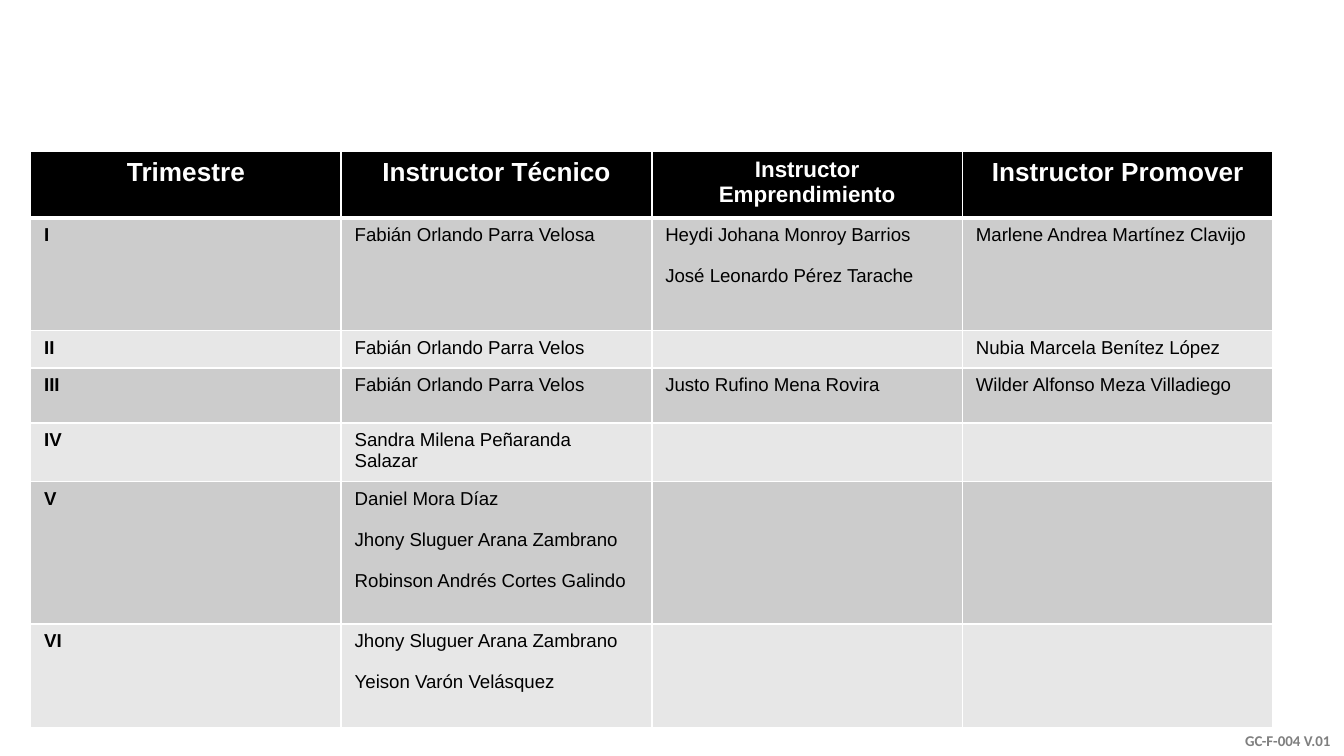
from lxml.etree import SubElement as Sub
from pptx import Presentation
from pptx.dml.color import RGBColor
from pptx.enum.text import MSO_ANCHOR as Anchor, PP_ALIGN as Align
from pptx.oxml.ns import qn
from pptx.util import Cm, Pt

HEADS = [("Trimestre", 14), ("Instructor Técnico", 14),
         ("Instructor Emprendimiento", 12), ("Instructor Promover", 14)]
TERMS = [
    ("I", ["Fabián Orlando Parra Velosa"],
     ["Heydi Johana Monroy Barrios", "José Leonardo Pérez Tarache"],
     ["Marlene Andrea Martínez Clavijo"]),
    ("II", ["Fabián Orlando Parra Velos"], [], ["Nubia Marcela Benítez López"]),
    ("III", ["Fabián Orlando Parra Velos"], ["Justo Rufino Mena Rovira"],
     ["Wilder Alfonso Meza Villadiego"]),
    ("IV", ["Sandra Milena Peñaranda Salazar"], [], []),
    ("V", ["Daniel Mora Díaz", "Jhony Sluguer Arana Zambrano",
           "Robinson Andrés Cortes Galindo"], [], []),
    ("VI", ["Jhony Sluguer Arana Zambrano", "Yeison Varón Velásquez"], [], []),
]
HIGHS = [1.17, 2.13, 0.71, 1.04, 1.04, 2.69, 1.96]
WIDE = 5.87
BANDS = ["CCCCCC", "E7E7E7"]
CODE = "GC-F-004 V.01"


def color(code):
    return RGBColor.from_string(code)


def write(para, text, size, ink, bold=False, face="Arial"):
    run = para.add_run()
    run.text = text
    font = run.font
    font.name, font.size, font.bold = face, Pt(size), bold
    font.color.rgb = color(ink)


def border(cell, top, bottom):
    props = cell._tc.get_or_add_tcPr()
    for side, width in zip("LRTB", (1, 1, top, bottom)):
        line = Sub(props, qn(f"a:ln{side}"), w=str(Pt(width)))
        Sub(Sub(line, qn("a:solidFill")), qn("a:srgbClr"), val="FFFFFF")


def paint(cell, fill, top=1, bottom=1):
    border(cell, top, bottom)
    cell.fill.solid()
    cell.fill.fore_color.rgb = color(fill)


def fill_names(cell, names, bold):
    frame = cell.text_frame
    for i, name in enumerate(names):
        para = frame.add_paragraph() if i else frame.paragraphs[0]
        para.space_before = Pt(11 if i else 0)
        write(para, name, 10, "000000", bold)
    if not names:
        Sub(frame.paragraphs[0]._p, qn("a:endParaRPr"), sz="1000")


def add_grid(slide):
    count = len(HEADS)
    grid = slide.shapes.add_table(len(HIGHS), count, Cm(0.58), Cm(2.85),
                                  Cm(WIDE * count), Cm(sum(HIGHS))).table
    for col in grid.columns:
        col.width = Cm(WIDE)
    for row, high in zip(grid.rows, HIGHS):
        row.height = Cm(high)
    for c, (head, size) in enumerate(HEADS):
        cell = grid.cell(0, c)
        paint(cell, "000000", bottom=3)
        para = cell.text_frame.paragraphs[0]
        para.alignment = Align.CENTER
        write(para, head, size, "FFFFFF", True)
    for r, (term, *staff) in enumerate(TERMS, 1):
        for c, names in enumerate([[term], *staff]):
            cell = grid.cell(r, c)
            paint(cell, BANDS[(r - 1) % 2], top=3 if r == 1 else 1)
            fill_names(cell, names, c == 0)


def add_code(slide):
    frame = slide.shapes.add_textbox(Cm(21.26), Cm(13.21), Cm(4.14), Cm(1.08)).text_frame
    frame.word_wrap = True
    frame.vertical_anchor = Anchor.BOTTOM
    para = frame.paragraphs[0]
    para.alignment = Align.RIGHT
    write(para, CODE, 8, "7F7F7F", True, "Calibri")


def main():
    """Build the slide of instructors by term."""
    deck = Presentation()
    deck.slide_width, deck.slide_height = Cm(25.4), Cm(14.29)
    slide = deck.slides.add_slide(deck.slide_layouts[6])
    add_code(slide)
    add_grid(slide)
    deck.save("out.pptx")


if __name__ == "__main__":
    main()
